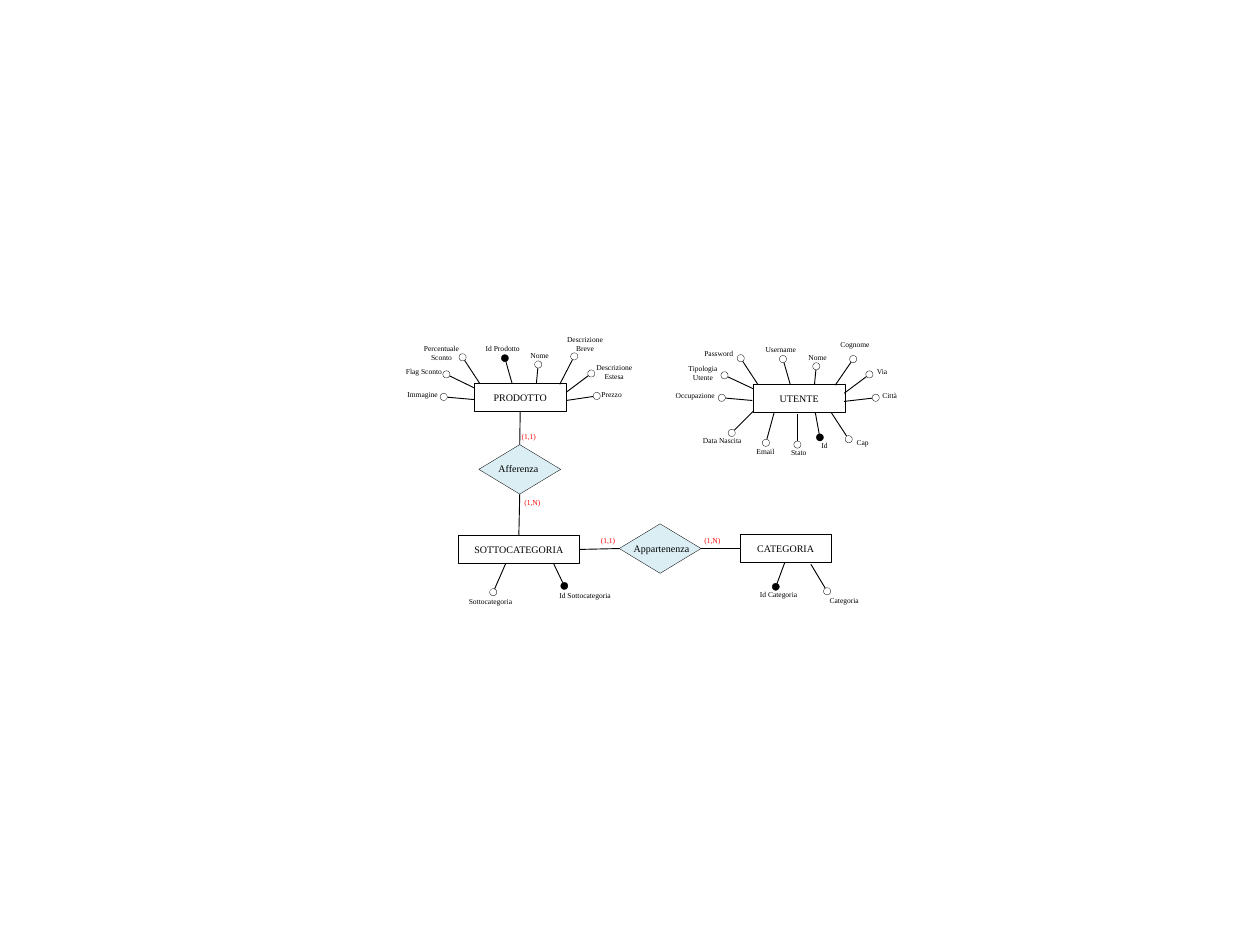
from math import hypot

from lxml.etree import SubElement
from pptx import Presentation
from pptx.dml.color import RGBColor
from pptx.enum.shapes import MSO_CONNECTOR as Connector, MSO_SHAPE as Shape
from pptx.enum.text import MSO_ANCHOR as Anchor, MSO_AUTO_SIZE as AutoSize, PP_ALIGN as Align
from pptx.oxml.ns import qn
from pptx.util import Emu, Pt

PX = 9144  # 100 px to the inch
FONT = "Times New Roman"
BLACK, WHITE, RED, PALE_BLUE = "000000", "FFFFFF", "FF0000", "DBEEF4"
DOT = 8
TOP, LEFT, BOTTOM, RIGHT = range(4)

# name: left, top, width
ENTITIES = {
    "PRODOTTO": (527, 426, 102),
    "UTENTE": (837, 427, 102),
    "SOTTOCATEGORIA": (509, 595, 135),
    "CATEGORIA": (822, 594, 102),
}
# name: left and top of the diamond, left and top of its label
RELATIONSHIPS = {
    "Afferenza": ((532, 494), (525, 509)),
    "Appartenenza": ((688, 582), (684, 598)),
}
# entity, side, relationship, side
LINKS = [
    ("PRODOTTO", BOTTOM, "Afferenza", TOP),
    ("SOTTOCATEGORIA", TOP, "Afferenza", BOTTOM),
    ("SOTTOCATEGORIA", RIGHT, "Appartenenza", LEFT),
    ("CATEGORIA", LEFT, "Appartenenza", RIGHT),
]
CARDINALITIES = [
    ("(1,1)", 568, 475), ("(1,N)", 572, 548),
    ("(1,1)", 656, 591), ("(1,N)", 772, 591),
]
# label, label box, point on the entity, left and top of the dot
ATTRIBUTES = [
    # PRODOTTO
    ("Immagine", (442, 428, 55, 20), (527, 444), (489, 437)),
    ("Flag Sconto", (435, 403, 72, 20), (527, 431), (492, 412)),
    ("Percentuale Sconto", (456, 377, 69, 30), (533, 426), (510, 393)),
    ("Id Prodotto", (524, 377, 69, 20), (569, 426), (557, 394)),
    ("Nome", (572, 385, 55, 20), (596, 426), (594, 401)),
    ("Descrizione\vBreve", (618, 367, 64, 30), (622, 427), (634, 392)),
    ("Descrizione\nEstesa", (646, 398, 73, 30), (629, 436), (653, 411)),
    ("Prezzo", (652, 428, 55, 20), (629, 445), (659, 436)),
    # UTENTE
    ("Occupazione", (739, 430, 67, 20), (836, 445), (798, 438)),
    ("Tipologia\nUtente", (737, 400, 88, 30), (837, 432), (801, 413)),
    ("Password", (764, 383, 69, 20), (842, 427), (819, 394)),
    ("Username", (833, 378, 69, 20), (878, 427), (866, 395)),
    ("Nome", (881, 387, 55, 20), (905, 427), (903, 403)),
    ("Cognome", (918, 373, 64, 20), (928, 428), (944, 395)),
    ("Via", (953, 403, 54, 20), (938, 437), (962, 412)),
    ("Città", (961, 429, 55, 20), (938, 446), (969, 438)),
    ("Data Nascita", (769, 480, 67, 20), (837, 457), (809, 477)),
    ("Email", (823, 492, 55, 20), (860, 459), (847, 488)),
    ("Stato", (860, 493, 55, 20), (886, 460), (882, 490)),
    ("Id", (885, 485, 62, 20), (906, 459), (907, 482)),
    ("Cap", (931, 482, 55, 20), (924, 459), (939, 484)),
    # SOTTOCATEGORIA
    ("Sottocategoria", (510, 658, 70, 20), (562, 626), (544, 654)),
    ("Id Sottocategoria", (609, 652, 82, 20), (615, 626), (623, 647)),
    # CATEGORIA
    ("Id Categoria", (834, 651, 62, 20), (872, 625), (858, 648)),
    ("Categoria", (907, 657, 62, 20), (901, 627), (915, 653)),
]


def px(*lengths):
    return [Emu(round(length * PX)) for length in lengths]


def color(hex_string):
    return RGBColor.from_string(hex_string)


def write(text_frame, text, size, text_color=BLACK):
    text_frame.word_wrap = True
    text_frame.text = text
    for paragraph in text_frame.paragraphs:
        paragraph.alignment = Align.CENTER
        paragraph.font.name = FONT
        paragraph.font.size = Pt(size)
        paragraph.font.color.rgb = color(text_color)


def add_outlined(slide, kind, box, fill):
    shape = slide.shapes.add_shape(kind, *px(*box))
    shape.shadow.inherit = False
    shape.fill.solid()
    shape.fill.fore_color.rgb = color(fill)
    shape.line.color.rgb = color(BLACK)
    shape.line.width = Pt(0.25)
    return shape


def add_label(slide, text, box, size=6, text_color=BLACK):
    text_box = slide.shapes.add_textbox(*px(*box))
    write(text_box.text_frame, text, size, text_color)
    text_box.text_frame.auto_size = AutoSize.SHAPE_TO_FIT_TEXT


def add_line(slide, start=(0, 0), end=(0, 0)):
    line = slide.shapes.add_connector(Connector.STRAIGHT, *px(*start, *end))
    line.line.color.rgb = color(BLACK)
    line.line.width = Pt(0.75)
    properties = line._element.find(qn("p:spPr"))
    SubElement(properties, qn("a:effectLst"))
    return line


def add_entity(slide, name, left, top, width):
    entity = add_outlined(slide, Shape.RECTANGLE, (left, top, width, 31), WHITE)
    write(entity.text_frame, name, 8)
    entity.text_frame.vertical_anchor = Anchor.MIDDLE
    return entity


def add_relationship(slide, name, corner, label_corner):
    diamond = add_outlined(slide, Shape.DIAMOND, (*corner, 91, 55), PALE_BLUE)
    add_label(slide, name, (*label_corner, 102, 24), size=8)
    return diamond


def add_attribute(slide, label, label_box, start, dot_corner):
    """Draw a labelled dot tied to its entity; identifiers get a filled dot."""
    center_x, center_y = (value + DOT / 2 for value in dot_corner)
    run, rise = start[0] - center_x, start[1] - center_y
    reach = DOT / 2 / hypot(run, rise)
    add_line(slide, start, (center_x + run * reach, center_y + rise * reach))
    is_identifier = label.split()[0] == "Id"
    add_outlined(slide, Shape.OVAL, (*dot_corner, DOT, DOT), BLACK if is_identifier else WHITE)
    add_label(slide, label, label_box)


def main():
    presentation = Presentation()
    presentation.slide_width, presentation.slide_height = px(1400, 1050)
    slide = presentation.slides.add_slide(presentation.slide_layouts[6])

    nodes = {name: add_entity(slide, name, *box) for name, box in ENTITIES.items()}
    for name, corners in RELATIONSHIPS.items():
        nodes[name] = add_relationship(slide, name, *corners)
    for entity, entity_side, relationship, relationship_side in LINKS:
        line = add_line(slide)
        line.begin_connect(nodes[entity], entity_side)
        line.end_connect(nodes[relationship], relationship_side)
    for text, left, top in CARDINALITIES:
        add_label(slide, text, (left, top, 39, 20), text_color=RED)
    for attribute in ATTRIBUTES:
        add_attribute(slide, *attribute)

    presentation.save("out.pptx")


if __name__ == "__main__":
    main()
